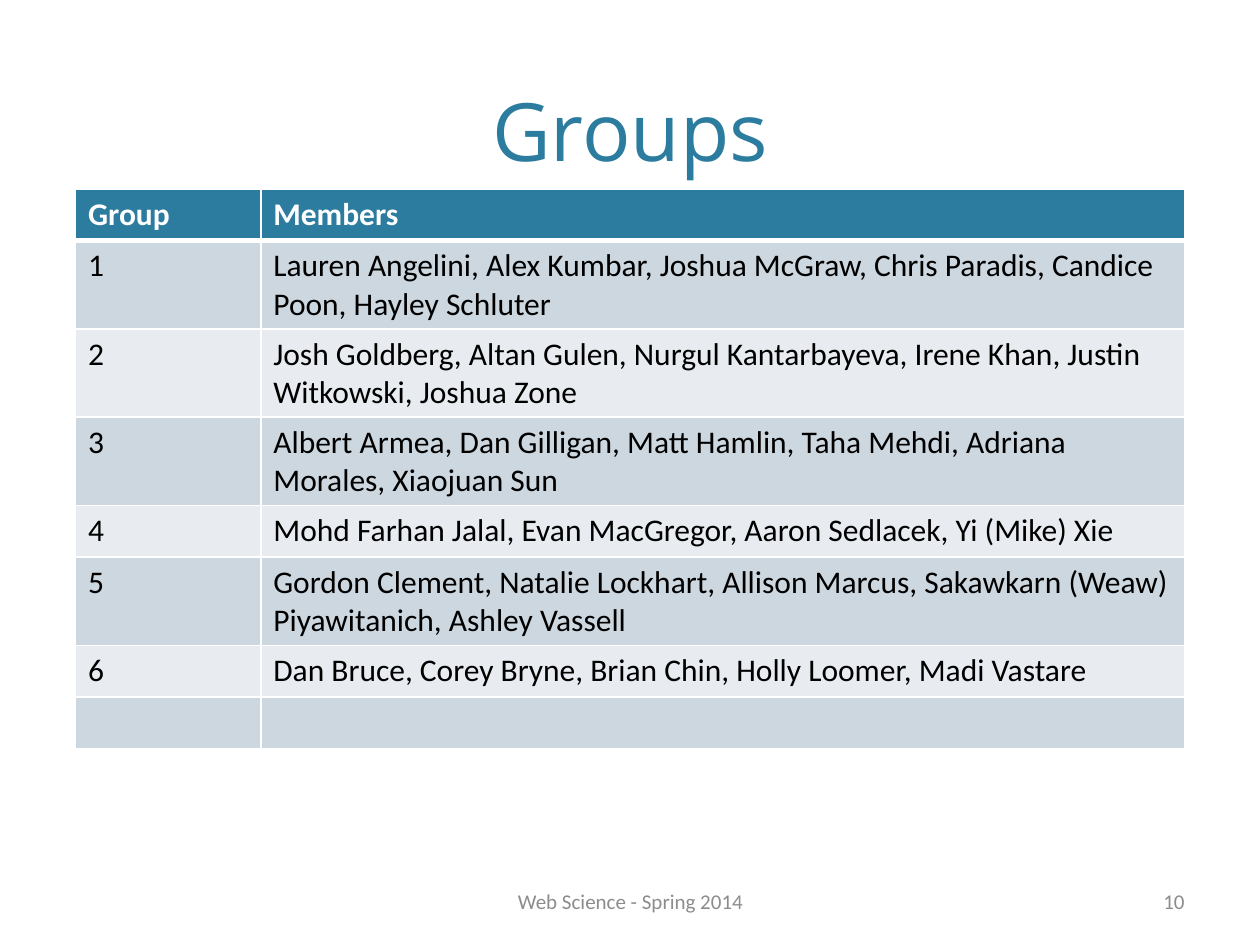
from dataclasses import dataclass

from lxml.etree import SubElement
from pptx import Presentation
from pptx.dml.color import RGBColor as Rgb
from pptx.enum.text import MSO_ANCHOR as Anchor, MSO_AUTO_SIZE as AutoSize, PP_ALIGN as Align
from pptx.oxml.ns import qn
from pptx.util import Inches, Pt


@dataclass(frozen=True)
class Theme:
    accent: str = "2C7C9F"
    white: str = "FFFFFF"
    black: str = "000000"
    muted: str = "8C8C8C"
    bands: tuple = ("CDD7DF", "E8ECF0")
    title_font: str = "Open Sans"
    body_font: str = "Calibri"
    title_size: int = 46
    table_size: int = 18
    footer_size: int = 12
    rule: int = 1
    header_rule: int = 3


THEME = Theme()

ROWS = [
    ("Group", "Members"),
    ("1", "Lauren Angelini, Alex Kumbar, Joshua McGraw, Chris Paradis, Candice Poon, Hayley Schluter"),
    ("2", "Josh Goldberg, Altan Gulen, Nurgul Kantarbayeva, Irene Khan, Justin Witkowski, Joshua Zone"),
    ("3", "Albert Armea, Dan Gilligan, Matt Hamlin, Taha Mehdi, Adriana Morales, Xiaojuan Sun"),
    ("4", "Mohd Farhan Jalal, Evan MacGregor, Aaron Sedlacek, Yi (Mike) Xie"),
    ("5", "Gordon Clement, Natalie Lockhart, Allison Marcus, Sakawkarn (Weaw) Piyawitanich, Ashley Vassell"),
    ("6", "Dan Bruce, Corey Bryne, Brian Chin, Holly Loomer, Madi Vastare"),
    ("", ""),
]
COLUMN_WIDTHS = (1.47, 7.33)
ROW_HEIGHT = 0.41


def add_text(frame, words, font, size, color, align=Align.LEFT, bold=False):
    paragraph = frame.paragraphs[0]
    paragraph.alignment = align
    run = paragraph.add_run()
    run.text = words
    run.font.name = font
    run.font.size = Pt(size)
    run.font.bold = bold
    run.font.color.rgb = Rgb.from_string(color)


def set_title(slide, words):
    title = slide.shapes.title
    title.left, title.top = Inches(0.6), Inches(0)
    title.width, title.height = Inches(8.8), Inches(1.46)
    frame = title.text_frame
    frame.auto_size = AutoSize.NONE
    frame.vertical_anchor = Anchor.BOTTOM
    add_text(frame, words, THEME.title_font, THEME.title_size, THEME.accent, Align.CENTER)


def add_footer(slide, words, left, width, align):
    footer = slide.shapes.add_textbox(Inches(left), Inches(6.95), Inches(width), Inches(0.4))
    frame = footer.text_frame
    frame.word_wrap = True
    frame.vertical_anchor = Anchor.MIDDLE
    add_text(frame, words, THEME.body_font, THEME.footer_size, THEME.muted, align)


def set_borders(cell, top, bottom):
    properties = cell._tc.get_or_add_tcPr()
    widths = {"lnL": THEME.rule, "lnR": THEME.rule, "lnT": top, "lnB": bottom}
    for side, width in widths.items():
        border = SubElement(properties, qn(f"a:{side}"), w=str(Pt(width)))
        fill = SubElement(border, qn("a:solidFill"))
        SubElement(fill, qn("a:srgbClr"), val=THEME.white)


def fill_cell(cell, words, row):
    is_header = row == 0
    set_borders(
        cell,
        top=THEME.header_rule if row == 1 else THEME.rule,
        bottom=THEME.header_rule if is_header else THEME.rule,
    )
    cell.fill.solid()
    background = THEME.accent if is_header else THEME.bands[(row - 1) % 2]
    cell.fill.fore_color.rgb = Rgb.from_string(background)
    if words:
        color = THEME.white if is_header else THEME.black
        add_text(cell.text_frame, words, THEME.body_font, THEME.table_size, color, bold=is_header)


def add_groups_table(slide):
    groups = slide.shapes.add_table(
        len(ROWS), len(COLUMN_WIDTHS), Inches(0.6), Inches(1.5),
        Inches(sum(COLUMN_WIDTHS)), Inches(ROW_HEIGHT * len(ROWS)),
    ).table
    for column, width in zip(groups.columns, COLUMN_WIDTHS):
        column.width = Inches(width)
    for row, entries in enumerate(ROWS):
        groups.rows[row].height = Inches(ROW_HEIGHT)
        for column, words in enumerate(entries):
            fill_cell(groups.cell(row, column), words, row)


def main():
    deck = Presentation()
    deck.slide_width, deck.slide_height = Inches(10), Inches(7.5)
    slide = deck.slides.add_slide(deck.slide_layouts[5])
    set_title(slide, "Groups")
    add_footer(slide, "Web Science - Spring 2014", 3.42, 3.17, Align.CENTER)
    add_footer(slide, "10", 7.17, 2.33, Align.RIGHT)
    add_groups_table(slide)
    deck.save("out.pptx")


main()
